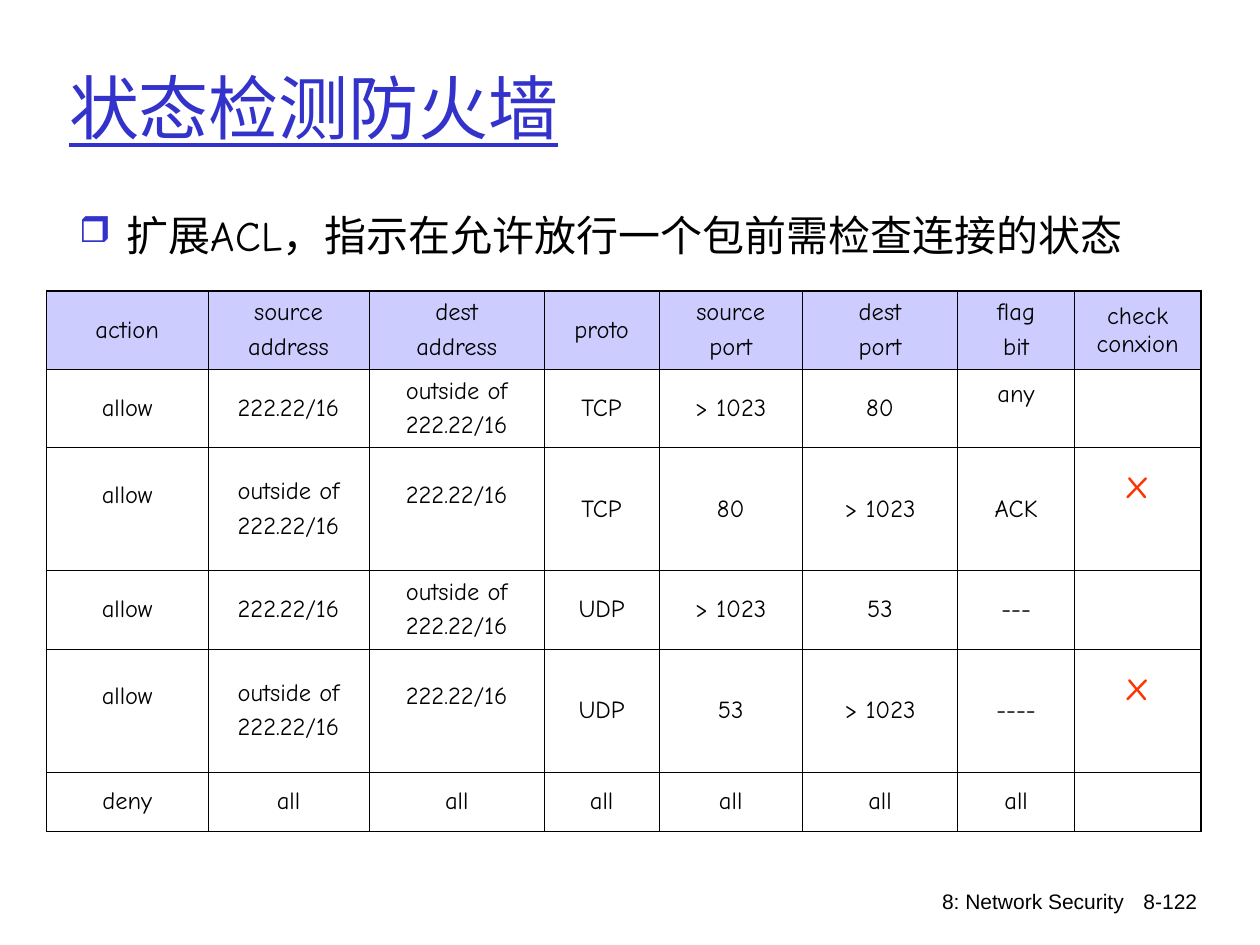
"""Build the slide on stateful firewalls with its extended ACL table."""
import lxml.etree
import pptx
import pptx.dml.color
import pptx.enum.text
import pptx.oxml.ns
import pptx.util

Pt, Inches = pptx.util.Pt, pptx.util.Inches
Align, Anchor = pptx.enum.text.PP_ALIGN, pptx.enum.text.MSO_ANCHOR
qn = pptx.oxml.ns.qn

THEME = {
    "ink": "000000", "blue": "3333CC", "head": "CCCCFF", "red": "FF3300",
    "text": "Comic Neue", "foot": "Arial",
    "title": 40, "body": 24, "cell": 14, "mark": 24, "small": 12,
    "thin": 0.45, "thick": 1.08,
}
WIDE, HIGH = 10, 7.5

ROWS = [
    ["action", "source\naddress", "dest\naddress", "proto",
     "source\nport", "dest\nport", "flag\nbit", "check conxion"],
    ["allow", "222.22/16", "outside of\n222.22/16", "TCP", "> 1023", "80", "any", ""],
    ["allow", "outside of\n222.22/16", "222.22/16", "TCP", "80", "> 1023", "ACK", "x"],
    ["allow", "222.22/16", "outside of\n222.22/16", "UDP", "> 1023", "53", "---", ""],
    ["allow", "outside of\n222.22/16", "222.22/16", "UDP", "53", "> 1023", "----", "x"],
    ["deny", "all", "all", "all", "all", "all", "all", ""],
]
COLS = [12.8, 12.8, 13.9, 9.1, 11.4, 12.3, 9.3, 10]
TALL = [8.27, 8.27, 13.07, 8.27, 13.07, 6.27]
SPOT = (3.7, 30.8)
LIFT = {(1, 6): 0.27, (2, 0): 0.27, (2, 2): 0.27, (4, 0): 0.27, (4, 2): 0.27,
        (2, 7): 0.43, (4, 7): 0.43}

FOOT = [
    ("8: Network Security", (58.5, 93.33, 31.7, 6.67)),
    ("8-122", (88, 93.33, 8, 4.27)),
]
TITLE = ("状态检测防火墙", (4.5, 2.93, 85, 16.67))
BODY = ("扩展ACL，指示在允许放行一个包前需检查连接的状态", (5.3, 21.47, 89.7, 66.93))


def across(share):
    return Inches(WIDE * share / 100)


def down(share):
    return Inches(HIGH * share / 100)


def apply(item, **form):
    for name, value in form.items():
        setattr(item, name, value)


def style(par, size, color="ink", face="text", **form):
    apply(par.font, size=Pt(THEME[size]), name=THEME[face], **form)
    par.font.color.rgb = pptx.dml.color.RGBColor.from_string(THEME[color])
    for run in par.runs:
        apply(run.font, size=Pt(THEME[size]), name=THEME[face], **form)
        run.font.color.rgb = par.font.color.rgb


def label(slide, text, box, **form):
    left, top, width, height = box
    frame = slide.shapes.add_textbox(
        across(left), down(top), across(width), down(height)).text_frame
    apply(frame, word_wrap=True, text=text, **form)
    return frame.paragraphs[0]


def bullet(par):
    props = par._p.get_or_add_pPr()
    props.set("marL", str(Inches(0.38)))
    props.set("indent", str(-Inches(0.38)))
    tint = lxml.etree.SubElement(props, qn("a:buClr"))
    lxml.etree.SubElement(tint, qn("a:srgbClr"), val=THEME["blue"])
    lxml.etree.SubElement(props, qn("a:buSzPct"), val="85000")
    lxml.etree.SubElement(props, qn("a:buChar"), char="❒")


def border(cell, row, col):
    edges = {"L": col == 0, "R": col == len(COLS) - 1,
             "T": row == 0, "B": row == len(TALL) - 1}
    props = cell._tc.get_or_add_tcPr()
    for side, outer in edges.items():
        width = Pt(THEME["thick" if outer else "thin"])
        line = lxml.etree.SubElement(props, qn("a:ln" + side), w=str(width))
        fill = lxml.etree.SubElement(line, qn("a:solidFill"))
        lxml.etree.SubElement(fill, qn("a:srgbClr"), val=THEME["ink"])


def fill(cell, row, col, text):
    border(cell, row, col)
    if row == 0:
        cell.fill.solid()
        cell.fill.fore_color.rgb = pptx.dml.color.RGBColor.from_string(THEME["head"])
    else:
        cell.fill.background()
    apply(cell, text=text, vertical_anchor=Anchor.MIDDLE,
          margin_bottom=Inches(LIFT.get((row, col), 0.05)))
    size, color = ("mark", "red") if text == "x" else ("cell", "ink")
    for rank, par in enumerate(cell.text_frame.paragraphs):
        par.alignment = Align.CENTER
        if rank:
            par.space_before = Pt(3.5)
        style(par, size, color)


def grid(slide):
    table = slide.shapes.add_table(
        len(TALL), len(COLS), across(SPOT[0]), down(SPOT[1]),
        across(sum(COLS)), down(sum(TALL))).table
    apply(table, first_row=False, horz_banding=False)
    for col, share in zip(table.columns, COLS):
        col.width = across(share)
    for row, share in zip(table.rows, TALL):
        row.height = down(share)
    for row, texts in enumerate(ROWS):
        for col, text in enumerate(texts):
            fill(table.cell(row, col), row, col, text)


def main():
    deck = pptx.Presentation()
    apply(deck, slide_width=Inches(WIDE), slide_height=Inches(HIGH))
    slide = deck.slides.add_slide(deck.slide_layouts[6])
    for text, box in FOOT:
        par = label(slide, text, box)
        par.alignment = Align.RIGHT
        style(par, "small", face="foot")
    grid(slide)
    style(label(slide, *TITLE, vertical_anchor=Anchor.MIDDLE),
          "title", "blue", underline=True)
    par = label(slide, *BODY)
    bullet(par)
    style(par, "body")
    deck.save("out.pptx")


if __name__ == "__main__":
    main()
